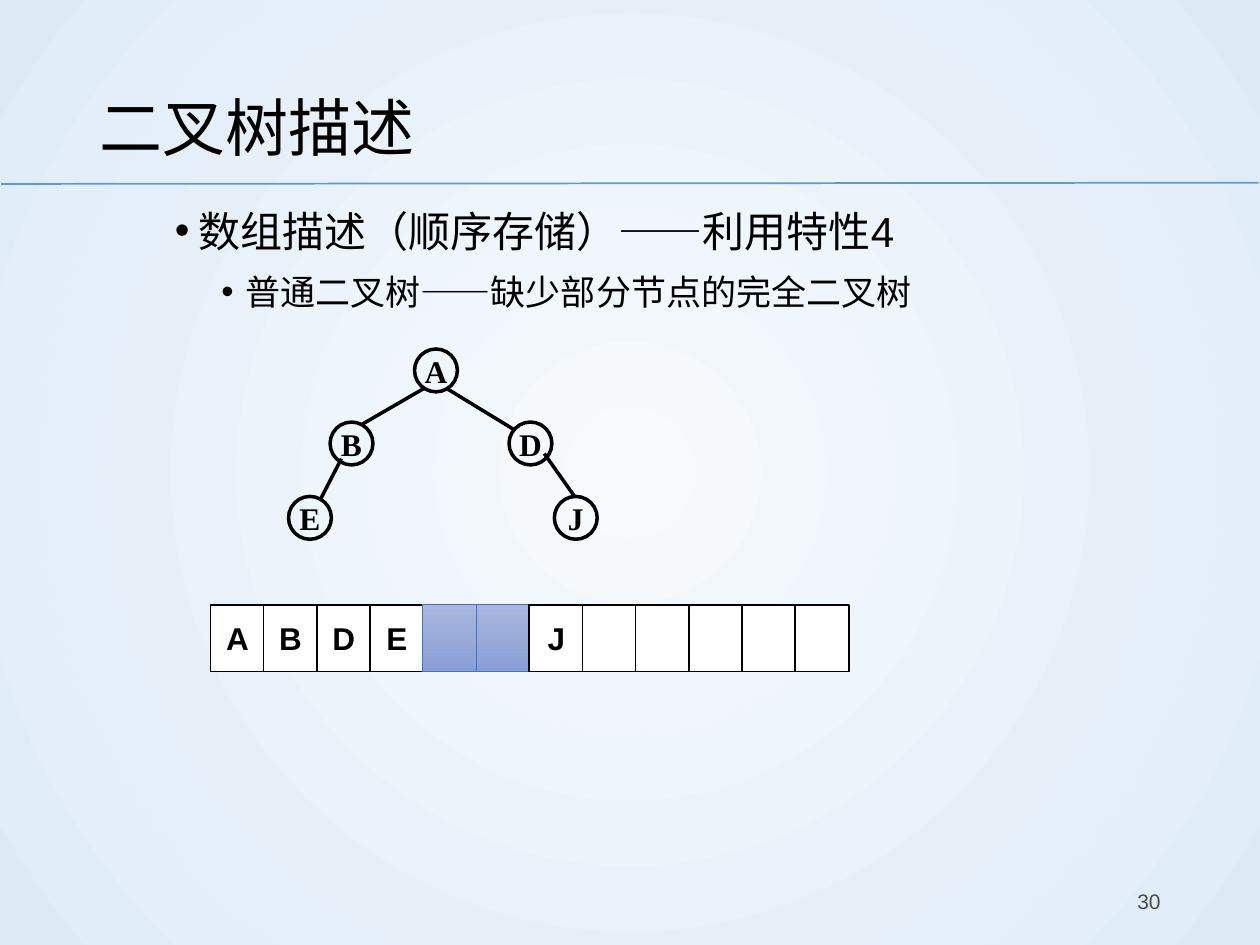
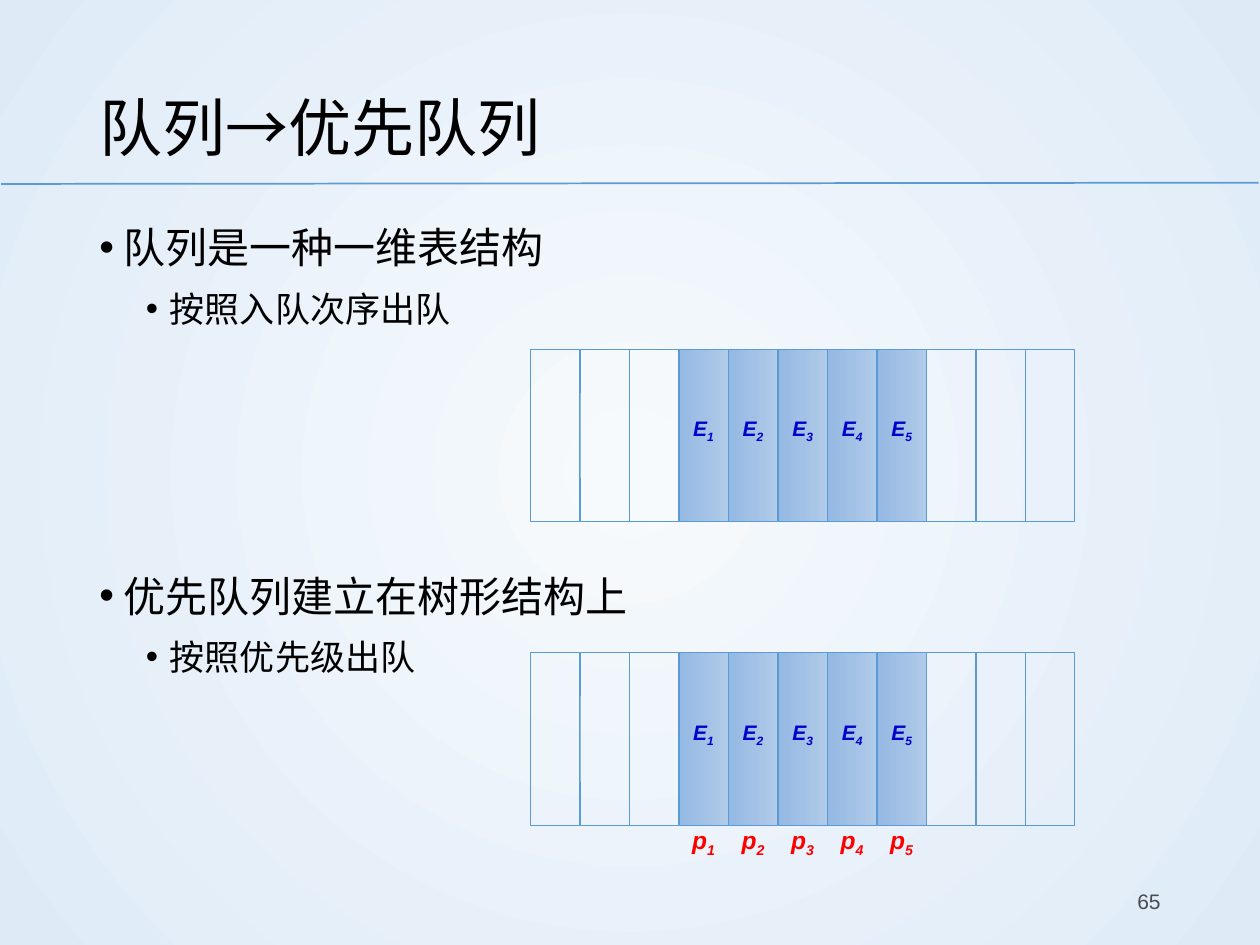
"""Build two lecture slides about binary trees and priority queues."""
from dataclasses import dataclass

from lxml.etree import SubElement
from pptx import Presentation
from pptx.dml.color import RGBColor
from pptx.enum.shapes import MSO_CONNECTOR, MSO_SHAPE
from pptx.enum.text import MSO_ANCHOR, PP_ALIGN
from pptx.oxml.ns import qn
from pptx.util import Inches, Pt


@dataclass(frozen=True)
class Theme:
    """Colours, fonts and type sizes of the deck."""
    black: str = "000000"
    white: str = "FFFFFF"
    gray: str = "4B4B4B"
    red: str = "FF0000"
    navy: str = "0000CC"
    accent: str = "5B9BD5"
    indigo: str = "4472C4"
    backdrop: tuple = ("F7FAFD", "DEEBF7")
    indigo_fade: tuple = ("A8B7DF", "9AABD9", "889ED7")
    accent_fade: tuple = ("B1CBE9", "A3C1E5", "93B9E4")
    sans: str = "Arial"
    serif: str = "Times New Roman"
    title_size: int = 36
    body_sizes: tuple = (24, 20)
    label_size: int = 18
    priority_size: int = 14
    small_size: int = 12
    line_spacing: float = 1.2
    space_before: tuple = (7.5, 3.8)
    indents: tuple = (0.19, 0.56)
    hanging: float = 0.19


class SlideBuilder:
    """Holds the theme and the current page and draws elements on it."""

    def __init__(self, deck, theme):
        """Remember the deck and the theme."""
        self.deck = deck
        self.theme = theme
        self.page = None

    def start(self, title, number):
        """Add a page with backdrop, rule, title and page number."""
        theme = self.theme
        self.page = self.deck.slides.add_slide(self.deck.slide_layouts[6])
        self.page.background.fill.gradient()
        self.fade(self.page.element, theme.backdrop, radial=True)
        self.line((0.01, 1.46), (9.99, 1.45), theme.accent, 1)
        heading = self.text((0.69, 0.4, 8.62, 1.08), title, theme.title_size, anchor=MSO_ANCHOR.MIDDLE)
        heading.paragraphs[0].line_spacing = theme.line_spacing
        self.text((7.06, 6.95, 2.25, 0.4), number, theme.small_size, theme.gray,
                  PP_ALIGN.RIGHT, MSO_ANCHOR.MIDDLE)

    def fade(self, owner, colors, radial=False):
        """Give the gradient inside an element even stops and a direction."""
        gradient = owner.find(".//" + qn("a:gradFill"))
        for child in list(gradient):
            gradient.remove(child)
        stops = SubElement(gradient, qn("a:gsLst"))
        for index, color in enumerate(colors):
            position = 100000 * index // (len(colors) - 1)
            stop = SubElement(stops, qn("a:gs"), pos=str(position))
            SubElement(stop, qn("a:srgbClr"), val=color)
        if radial:
            course = SubElement(gradient, qn("a:path"), path="circle")
            SubElement(course, qn("a:fillToRect"), l="50000", t="50000", r="50000", b="50000")
        else:
            SubElement(gradient, qn("a:lin"), ang="5400000", scaled="0")

    def format(self, span, size, color, face=None, bold=False, italic=False):
        """Set the font of a run."""
        font = span.font
        font.name = face or self.theme.sans
        font.size = Pt(size)
        font.bold = bold
        font.italic = italic
        font.color.rgb = RGBColor.from_string(color)

    def frame(self, place):
        """Add an empty wrapping text box and return its frame."""
        box = self.page.shapes.add_textbox(*map(Inches, place))
        box.text_frame.word_wrap = True
        return box.text_frame

    def text(self, place, words, size, color=None, align=PP_ALIGN.LEFT, anchor=MSO_ANCHOR.TOP):
        """Add a one-paragraph text box."""
        frame = self.frame(place)
        frame.vertical_anchor = anchor
        frame.text = words
        para = frame.paragraphs[0]
        para.alignment = align
        self.format(para.runs[0], size, color or self.theme.black)
        return frame

    def bullets(self, place, items):
        """Add bulleted paragraphs from (level, words, extra space) items."""
        theme = self.theme
        frame = self.frame(place)
        for index, (level, words, extra) in enumerate(items):
            para = frame.add_paragraph() if index else frame.paragraphs[0]
            para.text = words
            para.level = level
            para.line_spacing = theme.line_spacing
            para.space_before = Pt(theme.space_before[level] + extra if index else 0)
            properties = para._p.get_or_add_pPr()
            properties.set("marL", str(Inches(theme.indents[level])))
            properties.set("indent", str(-Inches(theme.hanging)))
            SubElement(properties, qn("a:buFont"), typeface=theme.sans)
            SubElement(properties, qn("a:buChar"), char="•")
            self.format(para.runs[0], theme.body_sizes[level], theme.black)

    def line(self, start, end, color, width):
        """Draw a straight line between two points."""
        connector = self.page.shapes.add_connector(
            MSO_CONNECTOR.STRAIGHT, *map(Inches, (*start, *end)))
        connector.line.color.rgb = RGBColor.from_string(color)
        connector.line.width = Pt(width)
        SubElement(connector.element.spPr, qn("a:effectLst"))

    def shape(self, kind, place, color, width, fill=None, label="", face=None):
        """Draw a shape with a solid, faded or empty fill and a bold label."""
        shape = self.page.shapes.add_shape(kind, *map(Inches, place))
        shape.shadow.inherit = False
        shape.line.color.rgb = RGBColor.from_string(color)
        shape.line.width = Pt(width)
        if fill is None:
            shape.fill.background()
        elif isinstance(fill, tuple):
            shape.fill.gradient()
            self.fade(shape.element, fill)
        else:
            shape.fill.solid()
            shape.fill.fore_color.rgb = RGBColor.from_string(fill)
        if label:
            frame = shape.text_frame
            frame.text = label
            frame.vertical_anchor = MSO_ANCHOR.MIDDLE
            frame.paragraphs[0].alignment = PP_ALIGN.CENTER
            self.format(frame.paragraphs[0].runs[0], self.theme.label_size,
                        self.theme.black, face, bold=True)
        return shape

    def node(self, left, top, label):
        """Draw a round tree node."""
        circle = self.shape(MSO_SHAPE.OVAL, (left, top, 0.34, 0.34), self.theme.black, 2,
                            label=label, face=self.theme.serif)
        circle.text_frame.word_wrap = False

    def array(self, left, top, labels):
        """Draw a row of cells, where None marks a missing tree node."""
        theme = self.theme
        pitch = 4.64 / (len(labels) - 1)
        for index, label in enumerate(labels):
            place = (left + index * pitch, top, 0.43, 0.53)
            if label is None:
                self.shape(MSO_SHAPE.RECTANGLE, place, theme.indigo, 0.5, theme.indigo_fade)
            else:
                self.shape(MSO_SHAPE.RECTANGLE, place, theme.black, 1, theme.white, label)

    def subscripted(self, place, letter, digit, size, color):
        """Add a centred bold italic letter with a subscript."""
        frame = self.frame(place)
        frame.margin_left = frame.margin_right = 0
        para = frame.paragraphs[0]
        para.alignment = PP_ALIGN.CENTER
        for words in (letter, digit):
            span = para.add_run()
            span.text = words
            self.format(span, size, color, bold=True, italic=True)
        span.font._element.set("baseline", "-25000")

    def queue(self, top, priorities=False):
        """Draw a queue of eleven cells whose middle five are filled."""
        theme = self.theme
        left, pitch, width, height = 4.21, 0.393, 0.39, 1.37
        for index in range(11):
            center = left + index * pitch + width / 2
            filled = 3 <= index < 8
            cell = self.shape(
                MSO_SHAPE.RECTANGLE,
                (center - height / 2, top + (height - width) / 2, height, width),
                theme.accent, 0.5, theme.accent_fade if filled else None)
            cell.rotation = 90
        for index in range(5):
            column, digit = left + (index + 3) * pitch, str(index + 1)
            self.subscripted((column, top + 0.48, width, 0.3), "E", digit,
                             theme.small_size, theme.navy)
            if priorities:
                self.subscripted((column, top + 1.32, width, 0.34), "p", digit,
                                 theme.priority_size, theme.red)


def draw_tree_slide(builder):
    """Show a sparse binary tree and its array."""
    builder.start("二叉树描述", "30")
    builder.bullets((1.29, 1.5, 8.5, 4.95), [
        (0, "数组描述（顺序存储）——利用特性4", 0),
        (1, "普通二叉树——缺少部分节点的完全二叉树", 0),
    ])
    nodes = {"A": (3.29, 2.77), "B": (2.62, 3.35), "D": (4.04, 3.35),
             "E": (2.29, 3.94), "J": (4.4, 3.94)}
    for label, (left, top) in nodes.items():
        builder.node(left, top, label)
    edges = [((3.37, 3.08), (2.87, 3.37)), ((3.54, 3.08), (4.08, 3.41)),
             ((2.71, 3.64), (2.54, 3.97)), ((4.32, 3.6), (4.56, 3.94))]
    for start, end in edges:
        builder.line(start, end, builder.theme.black, 2)
    builder.array(1.67, 4.8, [*"ABDE", None, None, "J", *[""] * 5])


def draw_queue_slide(builder):
    """Compare a plain queue with a priority queue."""
    builder.start("队列→优先队列", "65")
    builder.bullets((0.69, 1.63, 8.62, 5.13), [
        (0, "队列是一种一维表结构", 0),
        (1, "按照入队次序出队", 0),
        (0, "优先队列建立在树形结构上", 124.5),
        (1, "按照优先级出队", 0),
    ])
    builder.queue(2.77)
    builder.queue(5.18, priorities=True)


def main():
    """Build and save the deck."""
    deck = Presentation()
    deck.slide_width, deck.slide_height = Inches(10), Inches(7.5)
    builder = SlideBuilder(deck, Theme())
    draw_tree_slide(builder)
    draw_queue_slide(builder)
    deck.save("out.pptx")


if __name__ == "__main__":
    main()
